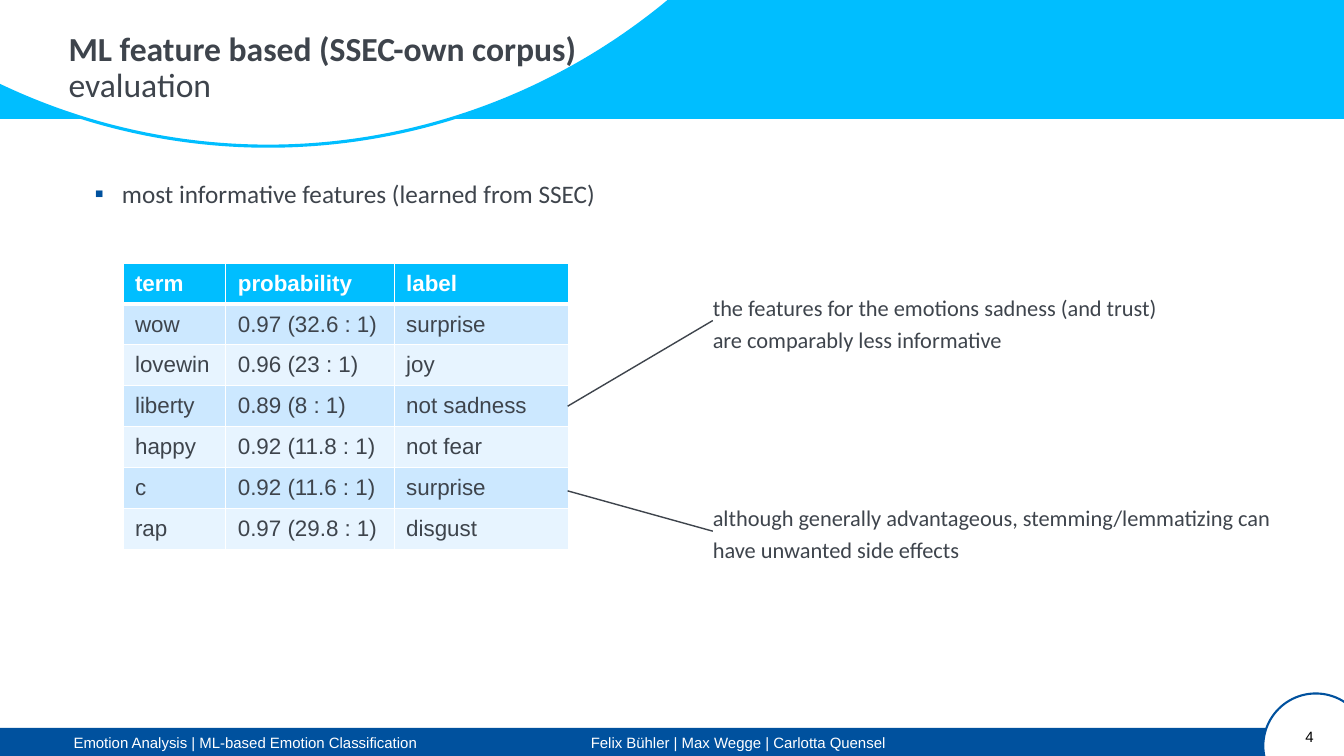
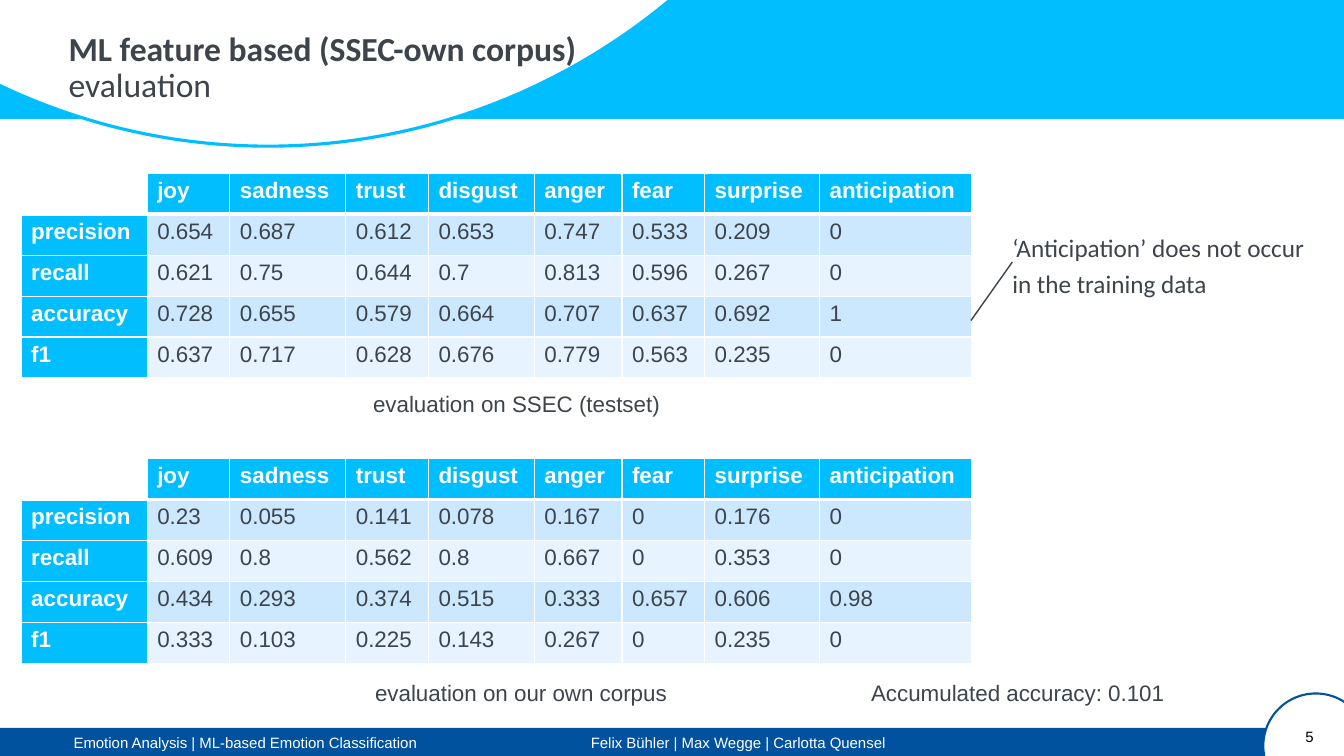
"""Build two slides on the evaluation of feature-based emotion classification."""
from dataclasses import dataclass

from lxml.etree import SubElement
from pptx import Presentation
from pptx.dml.color import RGBColor
from pptx.enum.shapes import MSO_CONNECTOR, MSO_SHAPE
from pptx.enum.text import MSO_ANCHOR, PP_ALIGN
from pptx.oxml.ns import qn
from pptx.slide import Slide
from pptx.table import _Cell
from pptx.text.text import _Paragraph
from pptx.util import Inches, Pt

SKY = RGBColor(0x00, 0xBE, 0xFF)
NAVY = RGBColor(0x00, 0x51, 0x9E)
INK = RGBColor(0x3E, 0x44, 0x4C)
WHITE = RGBColor(0xFF, 0xFF, 0xFF)
BLACK = RGBColor(0x00, 0x00, 0x00)
BANDS = (RGBColor(0xCC, 0xE8, 0xFF), RGBColor(0xE7, 0xF4, 0xFF))
SANS, BODY = "Arial", "Calibri"


@dataclass(frozen=True)
class Panel:
    """A filled shape of the slide frame."""
    kind: MSO_SHAPE
    box: tuple[float, float, float, float]
    fill: RGBColor
    line: RGBColor | None = None
    width: float = 0


@dataclass(frozen=True)
class Label:
    """A text box with one paragraph."""
    text: str
    box: tuple[float, float, float, float]
    size: float = 16
    font: str = BODY
    color: RGBColor = INK
    gap: float = 7.5
    lead: float = 1.2
    align: PP_ALIGN = PP_ALIGN.LEFT


@dataclass(frozen=True)
class Grid:
    """A banded table with a header row."""
    left: float
    top: float
    height: float
    cols: tuple[float, ...]
    rows: tuple[tuple[str, ...], ...]
    side: bool = False
    inset: float = 0.1
    anchor: MSO_ANCHOR = MSO_ANCHOR.TOP


@dataclass(frozen=True)
class Link:
    """A straight line from a table to a remark."""
    start: tuple[float, float]
    end: tuple[float, float]


FRAME = (
    Panel(MSO_SHAPE.RECTANGLE, (0, 0, 13.33, 1.18), SKY),
    Panel(MSO_SHAPE.OVAL, (-3.64, -11.41, 12.6, 12.86), WHITE, SKY, 2.25),
    Panel(MSO_SHAPE.RECTANGLE, (0, 7.22, 13.33, 0.28), NAVY),
    Panel(MSO_SHAPE.OVAL, (12.53, 6.88, 1.04, 1.04), WHITE, NAVY, 1.5),
)
FOOTER = (
    ("Emotion Analysis | ML-based Emotion Classification", 0.73),
    ("Felix Bühler | Max Wegge | Carlotta Quensel", 5.86),
)
TITLE = ("ML feature based (SSEC-own corpus)", "evaluation")

TERMS = Grid(1.22, 2.61, 2.84, (1.02, 1.67, 1.73), (
    ("term", "probability", "label"),
    ("wow", "0.97 (32.6 : 1)", "surprise"),
    ("lovewin", "0.96 (23 : 1)", "joy"),
    ("liberty", "0.89 (8 : 1)", "not sadness"),
    ("happy", "0.92 (11.8 : 1)", "not fear"),
    ("c", "0.92 (11.6 : 1)", "surprise"),
    ("rap", "0.97 (29.8 : 1)", "disgust"),
), inset=0.12, anchor=MSO_ANCHOR.MIDDLE)

HEAD = ("", "joy", "sadness", "trust", "disgust", "anger", "fear", "surprise",
        "anticipation")
WIDTHS = (1.25, 0.82, 1.15, 0.82, 1.05, 0.87, 0.82, 1.14, 1.51)
SCORES = (
    Grid(0.21, 1.72, 2.03, WIDTHS, (
        HEAD,
        ("precision", "0.654", "0.687", "0.612", "0.653", "0.747", "0.533", "0.209", "0"),
        ("recall", "0.621", "0.75", "0.644", "0.7", "0.813", "0.596", "0.267", "0"),
        ("accuracy", "0.728", "0.655", "0.579", "0.664", "0.707", "0.637", "0.692", "1"),
        ("f1", "0.637", "0.717", "0.628", "0.676", "0.779", "0.563", "0.235", "0"),
    ), side=True),
    Grid(0.21, 4.55, 2.03, WIDTHS, (
        HEAD,
        ("precision", "0.23", "0.055", "0.141", "0.078", "0.167", "0", "0.176", "0"),
        ("recall", "0.609", "0.8", "0.562", "0.8", "0.667", "0", "0.353", "0"),
        ("accuracy", "0.434", "0.293", "0.374", "0.515", "0.333", "0.657", "0.606", "0.98"),
        ("f1", "0.333", "0.103", "0.225", "0.143", "0.267", "0", "0.235", "0"),
    ), side=True),
)
POINT = Label("most informative features (learned from SSEC)",
              (0.68, 1.71, 11.44, 0.9), size=18, gap=5)
NOTES = (
    Label("the features for the emotions sadness (and trust)\n"
          "are comparably less informative", (7.07, 2.86, 5.9, 0.62)),
    Label("although generally advantageous, stemming/lemmatizing can\n"
          "have unwanted side effects", (7.07, 4.95, 5.9, 0.62)),
)
REMARKS = (
    Label("‘Anticipation’ does not occur in the training data",
          (10.04, 2.24, 3.08, 0.73), size=18, gap=10),
    Label("evaluation on SSEC (testset)", (3.7, 3.82, 3.2, 0.29), font=SANS),
    Label("evaluation on our own corpus", (3.72, 6.68, 3.2, 0.29), font=SANS),
    Label("Accumulated accuracy: 0.101", (8.64, 6.68, 3.2, 0.29), font=SANS),
)


def style(para: _Paragraph, size: float, font: str, color: RGBColor) -> None:
    """Set the font of a paragraph."""
    para.font.size = Pt(size)
    para.font.name = font
    para.font.color.rgb = color


def add_panel(slide: Slide, panel: Panel) -> None:
    """Draw one shape of the frame."""
    shape = slide.shapes.add_shape(panel.kind, *map(Inches, panel.box))
    shape.shadow.inherit = False
    shape.fill.solid()
    shape.fill.fore_color.rgb = panel.fill
    if panel.line is None:
        shape.line.fill.background()
    else:
        shape.line.color.rgb = panel.line
        shape.line.width = Pt(panel.width)


def add_label(slide: Slide, label: Label) -> _Paragraph:
    """Draw a text box and return its paragraph."""
    frame = slide.shapes.add_textbox(*map(Inches, label.box)).text_frame
    frame.word_wrap = True
    frame.margin_left = frame.margin_right = 0
    frame.margin_top = frame.margin_bottom = 0
    para = frame.paragraphs[0]
    para.text = label.text
    para.alignment = label.align
    para.line_spacing = label.lead
    para.space_before = Pt(label.gap)
    style(para, label.size, label.font, label.color)
    return para


def add_bullet(para: _Paragraph) -> None:
    """Give a paragraph a square bullet and a hanging indent."""
    props = para._p.get_or_add_pPr()
    props.set("marL", str(Inches(0.53)))
    props.set("indent", str(Inches(-0.27)))
    marks = [SubElement(props, qn("a:buClr"))]
    SubElement(marks[0], qn("a:srgbClr"), val=str(NAVY))
    marks.append(SubElement(props, qn("a:buSzPct"), val="105000"))
    marks.append(SubElement(props, qn("a:buFont"), typeface=SANS))
    marks.append(SubElement(props, qn("a:buChar"), char="▪"))
    font = props.find(qn("a:defRPr"))
    for mark in marks:
        font.addprevious(mark)


def add_rules(cell: _Cell, top: float, foot: float) -> None:
    """Draw white borders around a cell."""
    props = cell._tc.get_or_add_tcPr()
    for tag, width in (("lnL", 1), ("lnR", 1), ("lnT", top), ("lnB", foot)):
        line = SubElement(props, qn(f"a:{tag}"), w=str(Pt(width)))
        fill = SubElement(line, qn("a:solidFill"))
        SubElement(fill, qn("a:srgbClr"), val=str(WHITE))


def add_grid(slide: Slide, grid: Grid) -> None:
    """Draw a table with its header and bands."""
    table = slide.shapes.add_table(
        len(grid.rows), len(grid.cols), Inches(grid.left), Inches(grid.top),
        Inches(sum(grid.cols)), Inches(grid.height)).table
    table.first_col = grid.side
    for col, width in zip(table.columns, grid.cols):
        col.width = Inches(width)
    for i, row in enumerate(grid.rows):
        for j, text in enumerate(row):
            cell = table.cell(i, j)
            head = i == 0 or (grid.side and j == 0)
            add_rules(cell, 3 if i == 1 else 1, 3 if i == 0 else 1)
            if text:
                cell.fill.solid()
                cell.fill.fore_color.rgb = SKY if head else BANDS[(i - 1) % 2]
            else:
                cell.fill.background()
            cell.margin_left = Inches(grid.inset)
            cell.vertical_anchor = grid.anchor
            para = cell.text_frame.paragraphs[0]
            para.text = text
            style(para, 16, SANS, WHITE if head else INK)
            para.font.bold = head


def add_link(slide: Slide, link: Link) -> None:
    """Draw a thin line between two points."""
    line = slide.shapes.add_connector(
        MSO_CONNECTOR.STRAIGHT, *map(Inches, link.start + link.end))
    line.line.color.rgb = INK
    line.line.width = Pt(1)
    SubElement(line._element.spPr, qn("a:effectLst"))


def add_slide(deck: Presentation, page: int) -> Slide:
    """Add a slide with the shared frame, footer and title."""
    slide = deck.slides.add_slide(deck.slide_layouts[6])
    for panel in FRAME:
        add_panel(slide, panel)
    for text, left in FOOTER:
        add_label(slide, Label(text, (left, 7.28, 4, 0.2), 10.7, SANS, WHITE, 0, 1))
    add_label(slide, Label(str(page), (12.7, 7.22, 0.33, 0.18), 10.7, SANS, BLACK,
                           0, 1, PP_ALIGN.RIGHT))
    para = add_label(slide, Label("", (0.68, 0.32, 12.02, 0.73), 24, gap=0, lead=0.9))
    name, topic = TITLE
    run = para.add_run()
    run.text = name
    run.font.bold = True
    para.add_line_break()
    para.add_run().text = topic
    return slide


def main() -> None:
    """Build and save the slides."""
    deck = Presentation()
    deck.slide_width, deck.slide_height = Inches(13.33), Inches(7.5)

    slide = add_slide(deck, 4)
    add_bullet(add_label(slide, POINT))
    add_grid(slide, TERMS)
    for note in NOTES:
        add_label(slide, note)
    add_link(slide, Link((5.63, 4.03), (7.07, 3.18)))
    add_link(slide, Link((5.63, 4.87), (7.07, 5.27)))

    slide = add_slide(deck, 5)
    for grid in SCORES:
        add_grid(slide, grid)
    for remark in REMARKS:
        add_label(slide, remark)
    add_link(slide, Link((9.63, 3.18), (10.04, 2.6)))

    deck.save("out.pptx")


if __name__ == "__main__":
    main()
